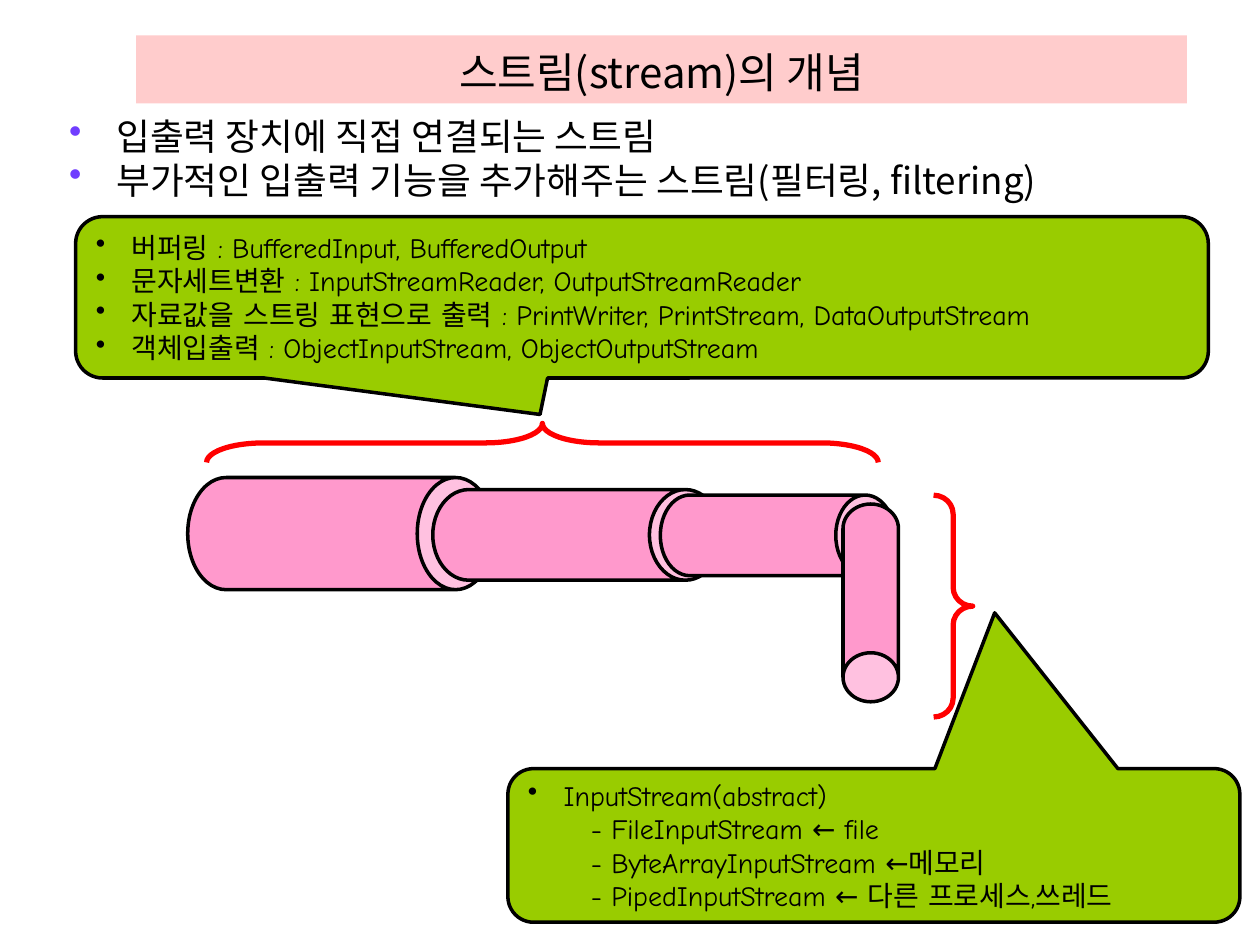
"""Build the slide on the concept of streams."""
import pptx
import pptx.util
import pptx.dml.color
import pptx.enum.shapes
import pptx.enum.text
import pptx.oxml.ns
import lxml.etree

Pt = pptx.util.Pt
RGB = pptx.dml.color.RGBColor
KIND = pptx.enum.shapes.MSO_SHAPE
ANCHOR = pptx.enum.text.MSO_ANCHOR
ALIGN = pptx.enum.text.PP_ALIGN
qn = pptx.oxml.ns.qn

BLACK = RGB(0x00, 0x00, 0x00)
ROSE = RGB(0xFF, 0xCC, 0xCC)
PINK = RGB(0xFF, 0x99, 0xCC)
RED = RGB(0xFF, 0x00, 0x00)
GREEN = RGB(0x99, 0xCC, 0x00)
VIOLET = RGB(0x70, 0x3D, 0xFF)

HEAD = {"name": "Noto Sans CJK KR", "size": Pt(24), "bold": False}
BODY = {**HEAD, "size": Pt(21)}
NOTE = {**HEAD, "name": "Comic Neue", "size": Pt(16)}


def apply(item, form):
    """Set each attribute named in the format dict."""
    for name, value in form.items():
        setattr(item, name, value)


class Deck:
    """Hold the style and the current slide."""

    def __init__(self):
        self.show = pptx.Presentation()
        apply(self.show, {"slide_width": Pt(720), "slide_height": Pt(540)})
        self.slide = self.show.slides.add_slide(self.show.slide_layouts[5])

    def place(self, shape, box):
        """Move and size a shape."""
        apply(shape, dict(zip(("left", "top", "width", "height"), map(Pt, box))))

    def label(self, para, text, font, form):
        """Put one formatted run in a paragraph."""
        apply(para, form)
        run = para.add_run()
        run.text = text
        apply(run.font, font)
        run.font.color.rgb = BLACK
        east = lxml.etree.SubElement(run._r.get_or_add_rPr(), qn("a:ea"))
        east.set("typeface", font["name"])

    def bullet(self, para, indent, color):
        """Give a paragraph a round bullet with a hanging indent."""
        prop = para._p.get_or_add_pPr()
        prop.set("marL", str(Pt(indent)))
        prop.set("indent", str(-Pt(indent)))
        tint = lxml.etree.SubElement(prop, qn("a:buClr"))
        lxml.etree.SubElement(tint, qn("a:srgbClr")).set("val", str(color))
        lxml.etree.SubElement(prop, qn("a:buChar")).set("char", "•")

    def lines(self, frame, texts):
        """Pair each text with its paragraph."""
        for i, text in enumerate(texts):
            yield (frame.add_paragraph() if i else frame.paragraphs[0]), text

    def title(self, text, box):
        """Format and fill the title."""
        shape = self.slide.shapes.title
        self.place(shape, box)
        shape.fill.solid()
        shape.fill.fore_color.rgb = ROSE
        frame = shape.text_frame
        apply(frame, {"vertical_anchor": ANCHOR.BOTTOM, "word_wrap": True,
                      "auto_size": pptx.enum.text.MSO_AUTO_SIZE.NONE})
        self.label(frame.paragraphs[0], text, HEAD, {"alignment": ALIGN.CENTER})

    def body(self, texts, box):
        """Add the main bullet list."""
        frame = self.slide.shapes.add_textbox(*map(Pt, box)).text_frame
        frame.word_wrap = True
        for para, text in self.lines(frame, texts):
            self.bullet(para, 27, VIOLET)
            gap = Pt(0 if text == texts[0] else 4.6)
            self.label(para, text, BODY, {"line_spacing": 0.8, "space_before": gap})

    def shape(self, kind, box, adjust, turn=0, fill=None, line=BLACK, width=2):
        """Add an outlined preset shape."""
        shape = self.slide.shapes.add_shape(kind, *map(Pt, box))
        shape.shadow.inherit = False
        shape.rotation = turn
        for i, value in enumerate(adjust):
            shape.adjustments[i] = value
        if fill is None:
            shape.fill.background()
        else:
            shape.fill.solid()
            shape.fill.fore_color.rgb = fill
        shape.line.color.rgb = line
        shape.line.width = Pt(width)
        return shape

    def pipe(self, box, depth, turn=90):
        """Add one piece of pipe."""
        self.shape(KIND.CAN, box, [depth], turn, PINK)

    def brace(self, box, curve, turn):
        """Add a red brace."""
        self.shape(KIND.LEFT_BRACE, box, [curve, 0.5], turn, line=RED, width=3)

    def callout(self, texts, box, tip):
        """Add a callout whose dashed lines are indented."""
        shape = self.shape(KIND.ROUNDED_RECTANGULAR_CALLOUT, box, [*tip, 0.167], fill=GREEN)
        frame = shape.text_frame
        apply(frame, {"vertical_anchor": ANCHOR.MIDDLE, "word_wrap": True})
        for para, text in self.lines(frame, texts):
            if text.startswith("-"):
                para._p.get_or_add_pPr().set("marL", str(Pt(36)))
            else:
                self.bullet(para, 20.5, BLACK)
            self.label(para, text, NOTE, {"alignment": ALIGN.LEFT})


def main():
    """Draw and save the slide."""
    deck = Deck()
    deck.title("스트림(stream)의 개념", (77.8, 20.2, 600.5, 38.9))
    deck.body(["입출력 장치에 직접 연결되는 스트림",
               "부가적인 입출력 기능을 추가해주는 스트림(필터링, filtering)"],
              (32.4, 66.6, 661, 448))
    deck.pipe((162.7, 217.4, 64.1, 175), 0.684)
    deck.pipe((303.8, 223.2, 51.8, 164.9), 0.793)
    deck.pipe((421.2, 239, 46.1, 133.9), 0.73)
    deck.pipe((481.7, 288, 31.7, 113), 0.883, 180)
    deck.brace((298.8, 61.2, 22.3, 383.8), 1.455, 90)
    deck.brace((533.5, 283, 22.3, 126.7), 0.481, 180)
    deck.callout(["버퍼링 : BufferedInput, BufferedOutput",
                  "문자세트변환 : InputStreamReader, OutputStreamReader",
                  "자료값을 스트링 표현으로 출력 : PrintWriter, PrintStream, DataOutputStream",
                  "객체입출력 : ObjectInputStream, ObjectOutputStream"],
                 (43.2, 123.8, 647.3, 92.2), (-0.09, 0.726))
    deck.callout(["InputStream(abstract)",
                  "- FileInputStream ← file",
                  "- ByteArrayInputStream ←메모리",
                  "- PipedInputStream ← 다른 프로세스,쓰레드"],
                 (290.2, 439.2, 418.3, 87.8), (0.165, -1.514))
    deck.show.save("out.pptx")


if __name__ == "__main__":
    main()
